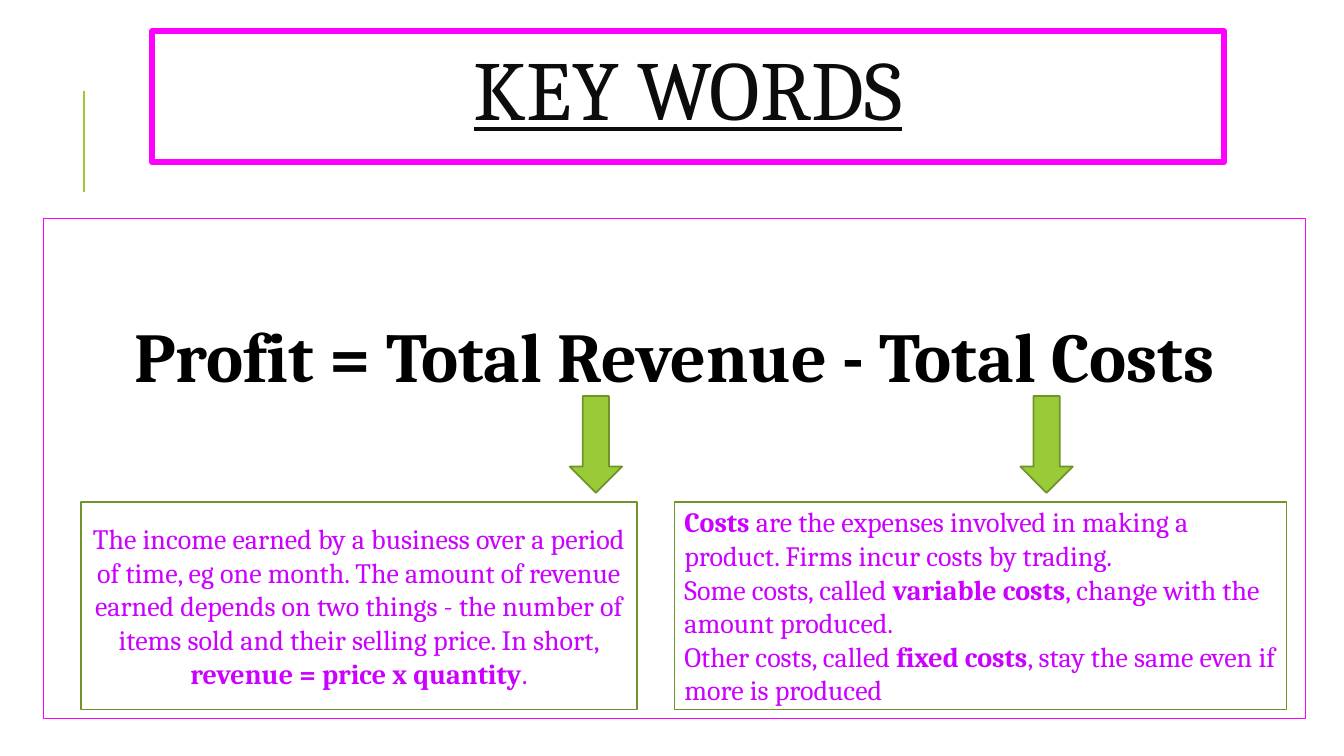
import pptx
import pptx.dml.color
import pptx.enum.shapes
import pptx.enum.text
import pptx.oxml
import pptx.util

RGBColor = pptx.dml.color.RGBColor
Shape = pptx.enum.shapes.MSO_SHAPE
Align = pptx.enum.text.PP_ALIGN
Anchor = pptx.enum.text.MSO_ANCHOR

MAGENTA = RGBColor(0xFF, 0x00, 0xFF)
VIOLET = RGBColor(0xCC, 0x00, 0xFF)
GREEN = RGBColor(0x99, 0xCB, 0x38)
DARK_GREEN = RGBColor(0x6F, 0x94, 0x28)
INK = RGBColor(0x0C, 0x0C, 0x0C)
BLACK = RGBColor(0x00, 0x00, 0x00)
FONT = "Cambria"
PX = 9144  # 100 px to the inch

REVENUE = [[
    ("The income earned by a business over a period of time, eg one month. "
     "The amount of revenue earned depends on two things - the number of "
     "items sold and their selling price. In short, ", False),
    ("revenue = price x quantity", True),
    (".", False),
]]
COSTS = [
    [("Costs", True),
     (" are the expenses involved in making a product. "
      "Firms incur costs by trading.", False)],
    [("Some costs, called ", False), ("variable costs", True),
     (", change with the amount produced.", False)],
    [("Other costs, called ", False), ("fixed costs", True),
     (", stay the same even if more is produced", False)],
]


def add_outlined(page, kind, box, colour, weight, fill=None):
    shape = page.shapes.add_shape(kind, *(length * PX for length in box))
    shape.shadow.inherit = False
    if fill is None:
        shape.fill.background()
    else:
        shape.fill.solid()
        shape.fill.fore_color.rgb = fill
    shape.line.color.rgb = colour
    shape.line.width = pptx.util.Pt(weight)
    return shape


def write(shape, paragraphs, size, colour, align, anchor=Anchor.MIDDLE,
          spacing=1.0):
    """Fill a shape with paragraphs, each a list of (text, bold) spans."""
    frame = shape.text_frame
    frame.word_wrap = True
    frame.vertical_anchor = anchor
    for index, spans in enumerate(paragraphs):
        para = frame.add_paragraph() if index else frame.paragraphs[0]
        para.alignment = align
        para.line_spacing = spacing
        for text, bold in spans:
            span = para.add_run()
            span.text = text
            span.font.name = FONT
            span.font.size = pptx.util.Pt(size)
            span.font.bold = bold
            span.font.color.rgb = colour


def add_accent_line(page, x, top, bottom):
    line = page.shapes.add_connector(
        pptx.enum.shapes.MSO_CONNECTOR.STRAIGHT,
        x * PX, bottom * PX, x * PX, top * PX)
    line.line.color.rgb = GREEN
    line.line.width = pptx.util.Pt(1.5)
    properties = line._element.spPr
    properties.append(pptx.oxml.parse_xml(
        '<a:effectLst xmlns:a='
        '"http://schemas.openxmlformats.org/drawingml/2006/main"/>'))


def add_title(page, box):
    title = add_outlined(page, Shape.RECTANGLE, box, MAGENTA, 4.5)
    write(title, [[("KEY WORDS", False)]], 60, INK, Align.CENTER, spacing=0.8)
    title.text_frame.paragraphs[0].runs[0].font.underline = True


def add_definition(page, box, paragraphs, align):
    panel = add_outlined(page, Shape.RECTANGLE, box, DARK_GREEN, 1.25)
    write(panel, paragraphs, 20, VIOLET, align)


def add_formula(page, box):
    """Frame the formula, with an arrow from each term to its definition."""
    left, top, width, height = box
    frame = add_outlined(page, Shape.RECTANGLE, box, MAGENTA, 0.75)
    write(frame, [[("Profit = Total Revenue - Total Costs", True)]],
          50, BLACK, Align.CENTER, Anchor.TOP, 0.9)
    text = frame.text_frame
    text.margin_left = text.margin_right = text.margin_bottom = 5 * PX
    text.margin_top = 102 * PX

    panel_top, panel_height = top + 281, 206
    add_definition(page, (left + 37, panel_top, 552, panel_height),
                   REVENUE, Align.CENTER)
    add_definition(page, (left + 626, panel_top, 607, panel_height),
                   COSTS, Align.LEFT)
    for offset in (522, 969):
        add_outlined(page, Shape.DOWN_ARROW, (left + offset, top + 176, 52, 96),
                     DARK_GREEN, 1.25, GREEN)


def main():
    deck = pptx.Presentation()
    deck.slide_width = 1333 * PX
    deck.slide_height = 750 * PX
    page = deck.slides.add_slide(deck.slide_layouts[6])
    add_accent_line(page, 83, 90, 190)
    add_title(page, (151, 31, 1063, 130))
    add_formula(page, (43, 217, 1252, 496))
    deck.save("out.pptx")


if __name__ == "__main__":
    main()
